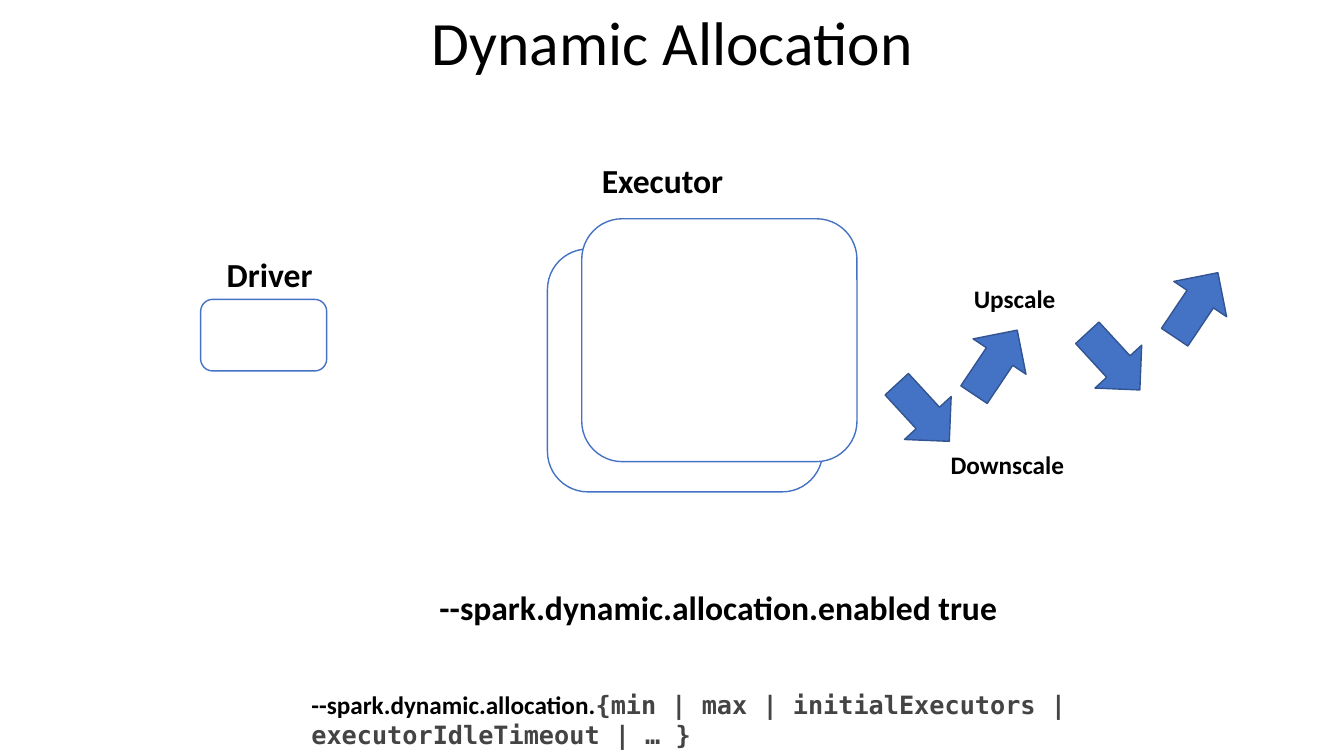
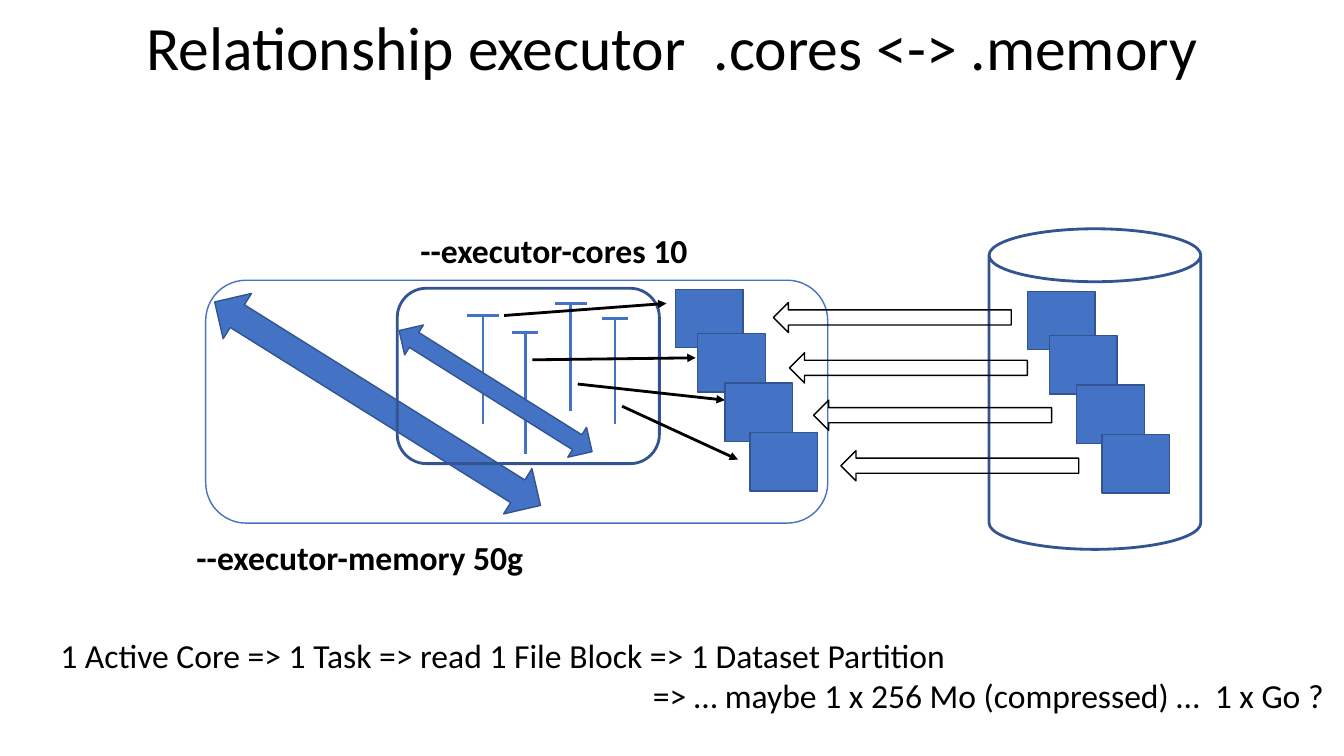
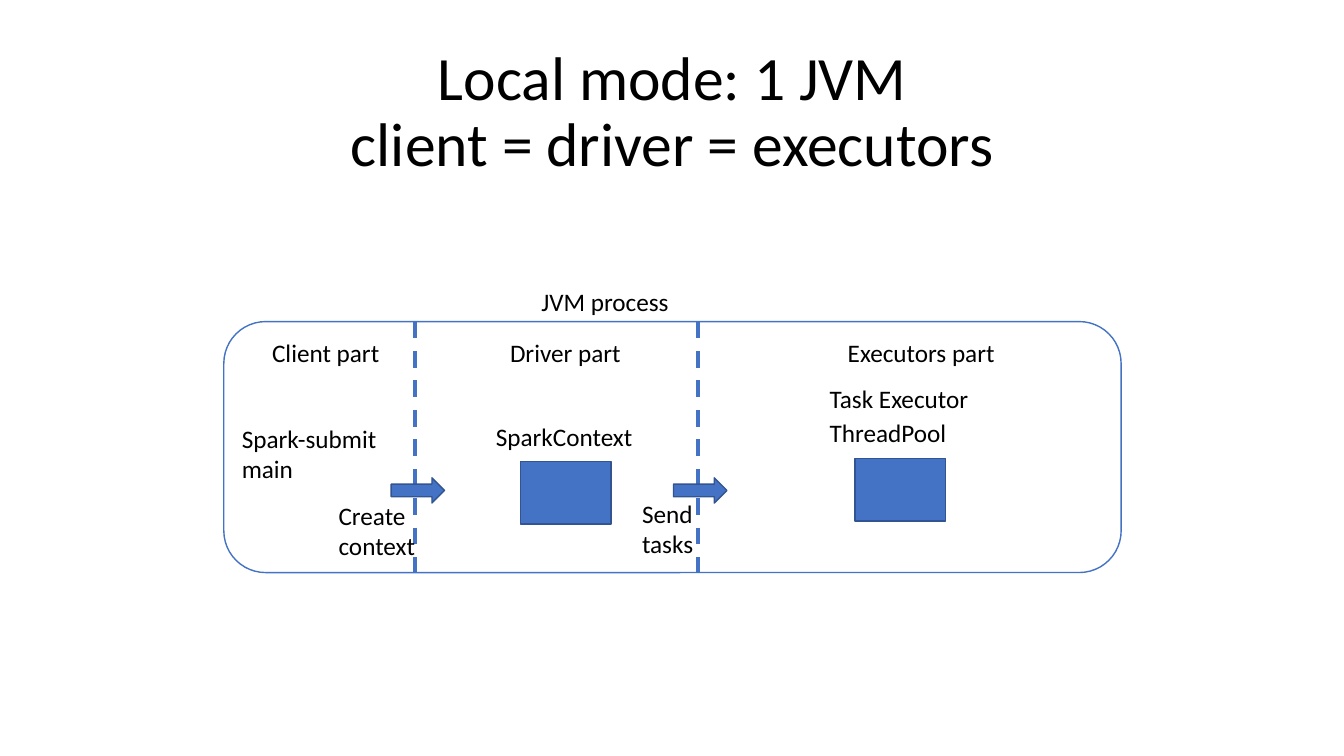
import collections

import pptx
import pptx.dml.color
import pptx.enum.dml
import pptx.enum.shapes
import pptx.enum.text
import pptx.oxml
import pptx.oxml.ns
import pptx.util

Inches = pptx.util.Inches
Pt = pptx.util.Pt
SHAPE = pptx.enum.shapes.MSO_SHAPE
ALIGN = pptx.enum.text.PP_ALIGN
FIT = pptx.enum.text.MSO_AUTO_SIZE

COLORS = {
    "blue": "4472C4",
    "dark_blue": "325491",
    "white": "FFFFFF",
    "black": "000000",
    "gray": "444444",
}
BODY_FONT = "Calibri"
CODE_FONT = "DejaVu Sans Mono"
LABEL = {"size": Pt(18), "name": BODY_FONT}
BOLD_LABEL = {**LABEL, "bold": True}
HEADING = {"size": Pt(24), "name": BODY_FONT, "bold": True}
STATEMENT = {"size": Pt(24), "name": BODY_FONT}
TITLE = {"size": Pt(44), "name": BODY_FONT}
TITLE_LAYOUT = 5


class Box(collections.namedtuple("Box", "left top width height")):
    def inside(self, left, top, width, height):
        """Box whose position is given relative to this one."""
        return Box(self.left + left, self.top + top, width, height)

    def lengths(self):
        return [Inches(value) for value in self]


def color(name):
    return pptx.dml.color.RGBColor.from_string(COLORS[name])


def apply_format(target, values):
    for attribute, value in values.items():
        setattr(target, attribute, value)


def format_run(run, style, color_name="black"):
    apply_format(run.font, style)
    run.font.color.rgb = color(color_name)


def add_title_slide(presentation, text, box):
    slide = presentation.slides.add_slide(presentation.slide_layouts[TITLE_LAYOUT])
    title = slide.shapes.title
    apply_format(title, dict(zip(("left", "top", "width", "height"), box.lengths())))
    frame = title.text_frame
    frame.text = text
    apply_format(frame, {
        "auto_size": FIT.NONE,
        "word_wrap": True,
        "vertical_anchor": pptx.enum.text.MSO_ANCHOR.MIDDLE,
    })
    paragraph = frame.paragraphs[0]
    apply_format(paragraph, {"alignment": ALIGN.CENTER, "line_spacing": 0.9})
    for run in paragraph.runs:
        format_run(run, TITLE)
    return slide


def add_text(slide, box, text, style, wrap=False):
    frame = slide.shapes.add_textbox(*box.lengths()).text_frame
    apply_format(frame, {"text": text, "word_wrap": wrap, "auto_size": FIT.SHAPE_TO_FIT_TEXT})
    for paragraph in frame.paragraphs:
        for run in paragraph.runs:
            format_run(run, style)
    return frame


def add_block(slide, kind, box, fill="blue", line="dark_blue", weight=1, rotation=0):
    shape = slide.shapes.add_shape(kind, *box.lengths())
    shape.shadow.inherit = False
    shape.rotation = rotation
    if fill:
        shape.fill.solid()
        shape.fill.fore_color.rgb = color(fill)
    else:
        shape.fill.background()
    shape.line.color.rgb = color(line)
    shape.line.width = Pt(weight)


def add_line(slide, start, end, line="blue", weight=2, dash=None, arrow=False):
    connector = slide.shapes.add_connector(
        pptx.enum.shapes.MSO_CONNECTOR.STRAIGHT,
        *[Inches(value) for value in (*start, *end)])
    connector.line.color.rgb = color(line)
    connector.line.width = Pt(weight)
    if dash:
        connector.line.dash_style = dash
    if arrow:
        tail = pptx.oxml.parse_xml(
            f'<a:tailEnd {pptx.oxml.ns.nsdecls("a")} type="triangle"/>')
        connector.line._get_or_add_ln().append(tail)
    connector._element.spPr.append(
        pptx.oxml.parse_xml(f'<a:effectLst {pptx.oxml.ns.nsdecls("a")}/>'))


def add_driver(slide, box):
    add_block(slide, SHAPE.ROUNDED_RECTANGLE, box, None, "blue")
    add_text(slide, box.inside(0.16, -0.5, 2.19, 0.5), "Driver", HEADING, wrap=True)


def add_executor_pair(slide, box):
    for left, top in ((0, 0.3), (0.34, 0)):
        add_block(slide, SHAPE.ROUNDED_RECTANGLE, box.inside(left, top, 2.73, 2.41),
                  "white", "blue")
    add_text(slide, box.inside(0.44, -0.63, 2.19, 0.5), "Executor", HEADING, wrap=True)


def add_scaling(slide, box):
    down, up = 317.4, 213.8
    for left, top, rotation in ((0, 1.07, down), (0.72, 0.57, up),
                                (1.89, 0.56, down), (2.71, 0, up)):
        add_block(slide, SHAPE.DOWN_ARROW, box.inside(left, top, 0.63, 0.77),
                  rotation=rotation)
    add_text(slide, box.inside(0.72, 0.12, 1.02, 0.4), "Upscale", BOLD_LABEL)
    add_text(slide, box.inside(0.49, 1.77, 1.33, 0.4), "Downscale", BOLD_LABEL)


def add_options(slide, box):
    add_text(slide, box.inside(1.27, 0, 5.79, 0.5),
             "--spark.dynamic.allocation.enabled true", HEADING)
    frame = add_text(slide, box.inside(0, 1.02, 8.93, 0.4),
                     "--spark.dynamic.allocation.", BOLD_LABEL, wrap=True)
    run = frame.paragraphs[0].add_run()
    run.text = "{min | max | initialExecutors | executorIdleTimeout | … }"
    format_run(run, {**BOLD_LABEL, "name": CODE_FONT}, "gray")


def build_allocation_slide(presentation):
    slide = add_title_slide(presentation, "Dynamic Allocation", Box(0.92, 0.05, 11.5, 0.8))
    add_driver(slide, Box(1.99, 2.97, 1.25, 0.71))
    add_executor_pair(slide, Box(5.43, 2.17, 3.07, 2.71))
    add_scaling(slide, Box(8.84, 2.64, 3.34, 1.84))
    add_options(slide, Box(2.99, 5.77, 8.93, 1.42))


def add_memory(slide, box):
    add_block(slide, SHAPE.ROUNDED_RECTANGLE, box, "white", "blue")
    add_block(slide, SHAPE.UP_DOWN_ARROW, box.inside(1.44, -0.68, 0.53, 3.81), rotation=302)
    add_text(slide, box.inside(-0.19, 2.5, 3.48, 0.5), "--executor-memory 50g", HEADING)


def add_cores(slide, box):
    add_block(slide, SHAPE.ROUNDED_RECTANGLE, box, None, weight=2)
    for center, top, height, bar in ((0.85, 0.27, 1.08, 0.32), (1.27, 0.44, 1.2, 0.26),
                                     (1.72, 0.15, 1.07, 0.32), (2.16, 0.3, 1.05, 0.26)):
        x, y = box.left + center, box.top + top
        add_line(slide, (x, y), (x, y + height))
        add_line(slide, (x - bar / 2, y), (x + bar / 2, y))
    add_block(slide, SHAPE.UP_DOWN_ARROW, box.inside(0.8, -0.11, 0.35, 2.26), rotation=122.1)
    add_text(slide, box.inside(0.13, -0.63, 2.88, 0.5), "--executor-cores 10", HEADING)


def add_file_blocks(slide, box):
    for left, top in ((0, 0), (0.22, 0.44), (0.49, 0.93), (0.74, 1.42)):
        add_block(slide, SHAPE.RECTANGLE, box.inside(left, top, 0.67, 0.58))


def add_task_arrows(slide, box):
    for start, end in (((0, 0.12), (1.61, 0)), ((0.28, 0.56), (1.9, 0.54)),
                       ((0.73, 0.8), (2.19, 0.96)), ((1.17, 1.02), (2.32, 1.55))):
        add_line(slide, (box.left + start[0], box.top + start[1]),
                 (box.left + end[0], box.top + end[1]), "black", arrow=True)


def add_read_arrows(slide, box):
    for left, top in ((0, 0), (0.16, 0.5), (0.4, 0.97), (0.67, 1.47)):
        add_block(slide, SHAPE.LEFT_ARROW, box.inside(left, top, 2.36, 0.3), None, "black")


def build_relationship_slide(presentation):
    slide = add_title_slide(presentation, "Relationship executor  .cores <-> .memory",
                            Box(0.92, -0.01, 11.5, 1.03))
    add_memory(slide, Box(2.04, 2.78, 6.17, 2.41))
    add_cores(slide, Box(3.94, 2.86, 2.6, 1.74))
    add_block(slide, SHAPE.CAN, Box(9.81, 2.27, 2.1, 3.18), None, weight=2)
    add_task_arrows(slide, Box(5, 3.01, 2.32, 1.55))
    for left, top in ((6.7, 2.87), (10.19, 2.89)):
        add_file_blocks(slide, Box(left, top, 1.41, 2))
    add_read_arrows(slide, Box(7.67, 3, 3.03, 1.77))
    frame = add_text(
        slide, Box(0.5, 6.25, 12.73, 0.91),
        "1 Active Core => 1 Task => read 1 File Block => 1 Dataset Partition\n"
        "=> … maybe 1 x 256 Mo (compressed) …  1 x Go ?", STATEMENT, wrap=True)
    frame.paragraphs[1].alignment = ALIGN.RIGHT


def add_process(slide, box):
    add_block(slide, SHAPE.ROUNDED_RECTANGLE, box, None, "blue")
    add_text(slide, box.inside(3.05, -0.4, 1.99, 0.4), "JVM process", LABEL, wrap=True)
    for divider in (1.9, 4.7):
        x = box.left + divider
        add_line(slide, (x, box.top), (x, box.top + box.height), weight=3,
                 dash=pptx.enum.dml.MSO_LINE.DASH)
        add_block(slide, SHAPE.RIGHT_ARROW, box.inside(divider - 0.24, 1.55, 0.53, 0.25))
    for left, top in ((2.94, 1.39), (6.26, 1.36)):
        add_block(slide, SHAPE.RECTANGLE, box.inside(left, top, 0.9, 0.62))
    for left, top, width, height, text in (
            (0.38, 0.11, 1.28, 0.4, "Client part"),
            (2.74, 0.11, 1.31, 0.4, "Driver part"),
            (6.09, 0.11, 1.67, 0.4, "Executors part"),
            (5.91, 0.56, 1.59, 0.4, "Task Executor"),
            (5.91, 0.9, 1.37, 0.4, "ThreadPool"),
            (2.6, 0.94, 1.57, 0.4, "SparkContext"),
            (0.08, 0.96, 1.56, 0.71, "Spark-submit\nmain"),
            (1.04, 1.72, 0.97, 0.71, "Create\ncontext"),
            (4.05, 1.7, 0.77, 0.71, "Send\ntasks")):
        add_text(slide, box.inside(left, top, width, height), text, LABEL)


def build_local_mode_slide(presentation):
    slide = add_title_slide(presentation, "Local mode: 1 JVM\vclient = driver = executors",
                            Box(0.92, 0.4, 11.5, 1.45))
    add_process(slide, Box(2.22, 3.19, 8.9, 2.49))


def main():
    presentation = pptx.Presentation()
    presentation.slide_width = Inches(13.33)
    presentation.slide_height = Inches(7.5)
    build_allocation_slide(presentation)
    build_relationship_slide(presentation)
    build_local_mode_slide(presentation)
    presentation.save("out.pptx")


if __name__ == "__main__":
    main()
